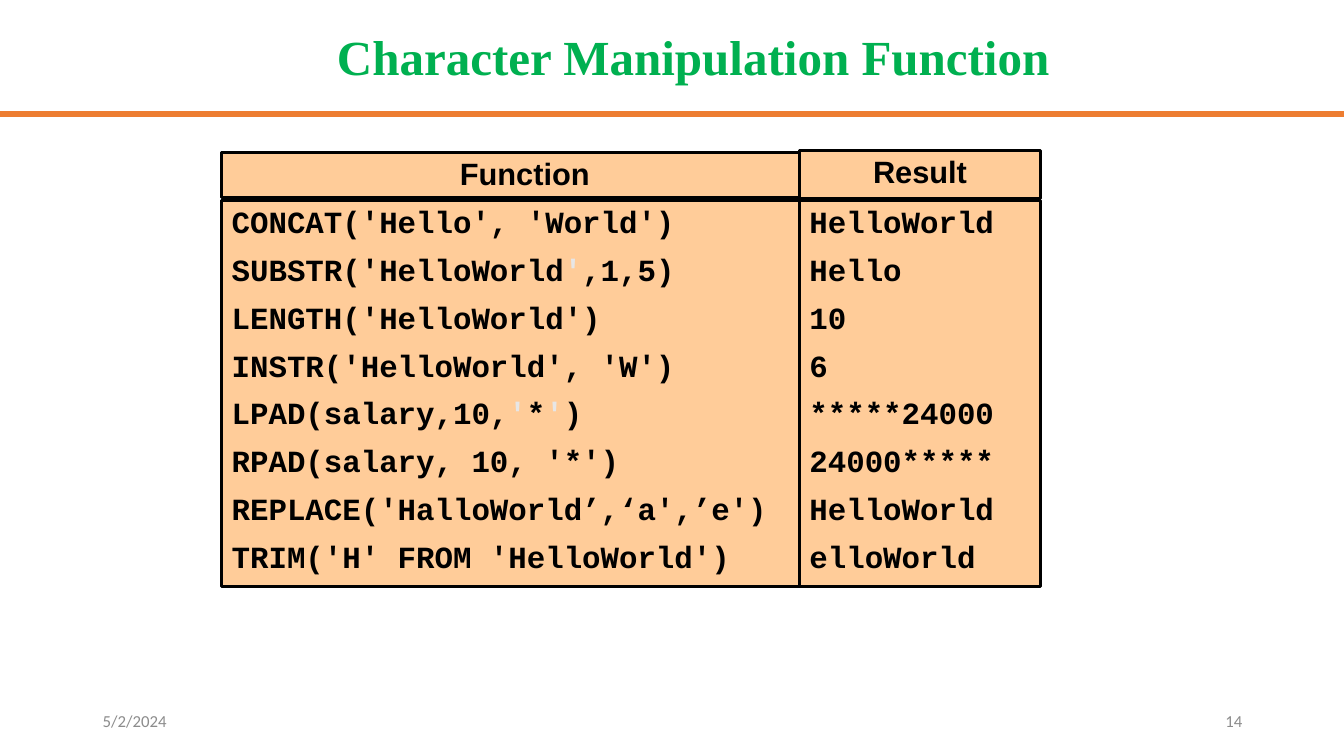
from pptx import Presentation
from pptx.dml.color import RGBColor
from pptx.enum.shapes import MSO_CONNECTOR, MSO_SHAPE
from pptx.enum.text import MSO_ANCHOR, PP_ALIGN
from pptx.oxml.ns import qn
from pptx.util import Inches, Pt
from lxml.etree import SubElement

TITLE = "Character Manipulation Function"
DATE, NUMBER = "5/2/2024", "14"
HEADERS = ("Function", "Result")
# Pieces of a call alternate between the ink colour and the pale colour.
ROWS = [
    (["CONCAT('Hello', 'World')"], "HelloWorld"),
    (["SUBSTR('HelloWorld", "'", ",1,5)"], "Hello"),
    (["LENGTH('HelloWorld')"], "10"),
    (["INSTR('HelloWorld', 'W')"], "6"),
    (["LPAD(salary,10,", "'", "*", "'", ")"], "*****24000"),
    (["RPAD(salary, 10, '*')"], "24000*****"),
    (["REPLACE('HalloWorld’,‘a',’e')"], "HelloWorld"),
    (["TRIM('H' FROM 'HelloWorld')"], "elloWorld"),
]

THEME = {
    "ink": RGBColor(0x00, 0x00, 0x00),
    "pale": RGBColor(0xE7, 0xE6, 0xE6),
    "panel": RGBColor(0xFF, 0xCC, 0x99),
    "rule": RGBColor(0xED, 0x7D, 0x31),
    "title": {"name": "Times New Roman", "size": Pt(35), "bold": True},
    "title_color": RGBColor(0x00, 0xB0, 0x50),
    "header": {"name": "Arial", "size": Pt(22), "bold": True},
    "code": {"name": "Courier New", "size": Pt(22), "bold": True},
    "footer": {"name": "Calibri", "size": Pt(12), "bold": False},
    "footer_color": RGBColor(0x8C, 0x8C, 0x8C),
}
PANEL_PARAGRAPH = {"line_spacing": 0.95, "space_before": Pt(9.1)}

WIDTH, HEIGHT = 13.33, 7.5
RULE_Y = 1.13
FUNCTION_X, RESULT_X = 2.2, 7.93
RESULT_W = 2.39
BODY_Y, BODY_H = 1.99, 3.83
FOOTER_Y, FOOTER_W, FOOTER_H = 6.95, 3, 0.4


def apply(target, values):
    for name, value in values.items():
        setattr(target, name, value)


def write(sp, lines, font, colors, paragraph, anchor):
    """Fill a shape; the pieces of each line take the colours in turn."""
    tf = sp.text_frame
    apply(tf, {"word_wrap": True, "vertical_anchor": anchor})
    for i, pieces in enumerate(lines):
        p = tf.paragraphs[0] if i == 0 else tf.add_paragraph()
        apply(p, paragraph)
        for j, piece in enumerate(pieces):
            r = p.add_run()
            r.text = piece
            apply(r.font, font)
            r.font.color.rgb = colors[j % len(colors)]


def add_label(s, box, text, font, color, paragraph):
    sp = s.shapes.add_textbox(*map(Inches, box))
    write(sp, [[text]], font, [color], paragraph, MSO_ANCHOR.MIDDLE)


def add_panel(s, box, lines, font, align):
    sp = s.shapes.add_shape(MSO_SHAPE.RECTANGLE, *map(Inches, box))
    sp.shadow.inherit = False
    sp.fill.solid()
    sp.fill.fore_color.rgb = THEME["panel"]
    sp.line.color.rgb = THEME["ink"]
    sp.line.width = Pt(2)
    write(sp, lines, font, [THEME["ink"], THEME["pale"]],
          {**PANEL_PARAGRAPH, "alignment": align}, MSO_ANCHOR.TOP)


def add_rule(s):
    line = s.shapes.add_connector(
        MSO_CONNECTOR.STRAIGHT, 0, Inches(RULE_Y), Inches(WIDTH), Inches(RULE_Y))
    line.line.color.rgb = THEME["rule"]
    line.line.width = Pt(4.5)
    SubElement(line._element.spPr, qn("a:effectLst"))


def main():
    prs = Presentation()
    prs.slide_width, prs.slide_height = Inches(WIDTH), Inches(HEIGHT)
    s = prs.slides.add_slide(prs.slide_layouts[6])

    add_rule(s)
    for x, text, align in ((0.92, DATE, PP_ALIGN.LEFT), (9.42, NUMBER, PP_ALIGN.RIGHT)):
        add_label(s, (x, FOOTER_Y, FOOTER_W, FOOTER_H), text,
                  THEME["footer"], THEME["footer_color"], {"alignment": align})

    calls = [call for call, _ in ROWS]
    results = [[result] for _, result in ROWS]
    for x, w, lines in ((FUNCTION_X, 5.77, calls), (RESULT_X, RESULT_W, results)):
        add_panel(s, (x, BODY_Y, w, BODY_H), lines, THEME["code"], PP_ALIGN.LEFT)

    header_boxes = ((FUNCTION_X, 1.51, 6.01, 0.45), (RESULT_X, 1.49, RESULT_W, 0.48))
    for box, text in zip(header_boxes, HEADERS):
        add_panel(s, box, [[text]], THEME["header"], PP_ALIGN.CENTER)

    add_label(s, (1.13, 0.15, 11.5, 0.88), TITLE, THEME["title"], THEME["title_color"],
              {"alignment": PP_ALIGN.CENTER, "line_spacing": 0.9})
    prs.save("out.pptx")


if __name__ == "__main__":
    main()
